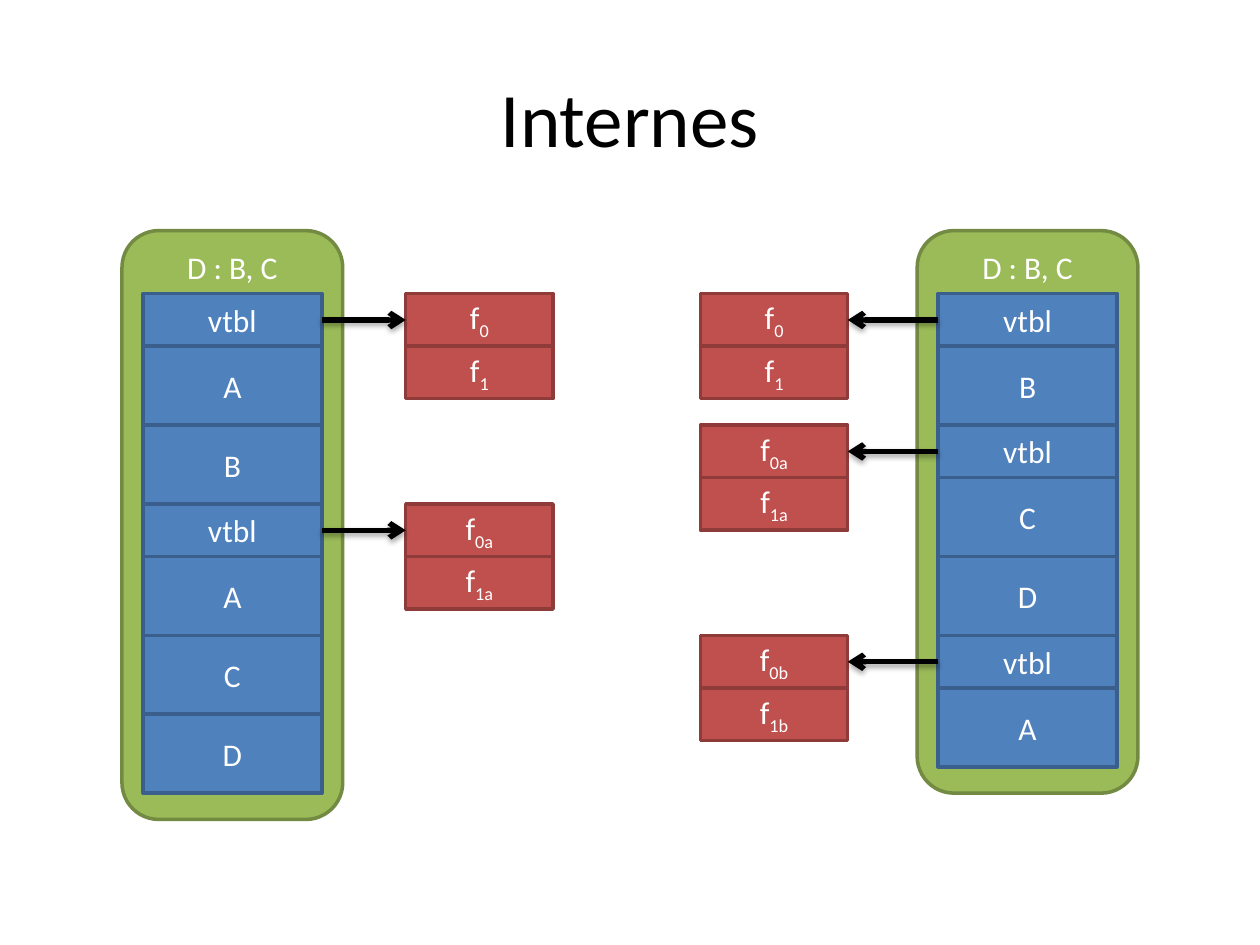
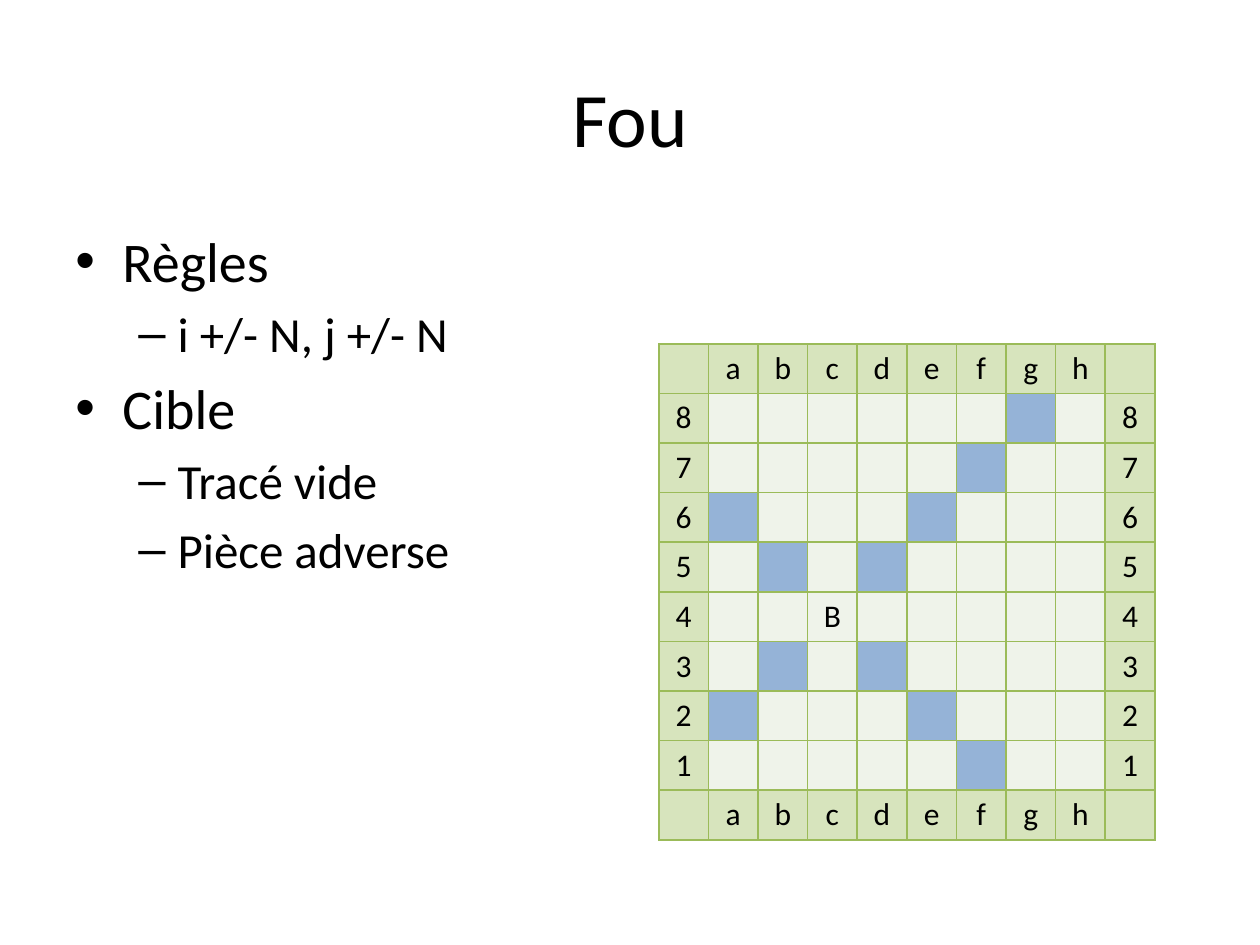
from dataclasses import dataclass

import lxml.etree
import pptx
import pptx.dml.color
import pptx.enum.shapes
import pptx.enum.text
import pptx.oxml.ns
import pptx.util

Cm, Pt = pptx.util.Cm, pptx.util.Pt
SHAPE = pptx.enum.shapes.MSO_SHAPE
ANCHOR = pptx.enum.text.MSO_ANCHOR
ALIGN = pptx.enum.text.PP_ALIGN
qn = pptx.oxml.ns.qn


@dataclass(frozen=True)
class Theme:
    font: str = "Calibri"
    text: str = "000000"
    light: str = "FFFFFF"
    object_box: tuple = ("9BBB59", "738A42")
    member: tuple = ("4F81BD", "3A5F8C")
    function: tuple = ("C0504D", "8E3B39")
    border: str = "9BBB59"
    label: str = "D7E4BD"
    square: str = "EFF3EA"
    move: str = "95B3D7"
    title_size: int = 44
    body_sizes: tuple = (32, 28)
    small_size: int = 18


THEME = Theme()
UNIT = 0.53
TITLE_BOX = (1.27, 0.76, 22.86, 3.18)
BODY_BOX = (1.27, 4.44, 22.86, 12.57)


def rgb(color):
    return pptx.dml.color.RGBColor.from_string(color)


def add_xml(parent, tag, **attrs):
    return lxml.etree.SubElement(parent, qn(tag), attrs)


def style(p, size, color, align=None):
    p.alignment = align
    p.font.name = THEME.font
    p.font.size = Pt(size)
    p.font.color.rgb = rgb(color)


def add_title(s, text):
    tf = s.shapes.add_textbox(*map(Cm, TITLE_BOX)).text_frame
    tf.word_wrap = True
    tf.vertical_anchor = ANCHOR.MIDDLE
    p = tf.paragraphs[0]
    p.text = text
    style(p, THEME.title_size, THEME.text, ALIGN.CENTER)


def add_box(s, box, colors, text, subscript="", kind=SHAPE.RECTANGLE, anchor=ANCHOR.MIDDLE):
    sp = s.shapes.add_shape(kind, *map(Cm, box))
    sp.shadow.inherit = False
    fill, line = colors
    sp.fill.solid()
    sp.fill.fore_color.rgb = rgb(fill)
    sp.line.color.rgb = rgb(line)
    sp.line.width = Pt(2)
    sp.text_frame.vertical_anchor = anchor
    p = sp.text_frame.paragraphs[0]
    style(p, THEME.small_size, THEME.light, ALIGN.CENTER)
    p.add_run().text = text
    if subscript:
        r = p.add_run()
        r.text = subscript
        r._r.get_or_add_rPr().set("baseline", "-25000")
    return sp


def add_arrow(s, start, start_side, end, end_side):
    c = s.shapes.add_connector(pptx.enum.shapes.MSO_CONNECTOR.STRAIGHT, 0, 0, 0, 0)
    c.begin_connect(start, start_side)
    c.end_connect(end, end_side)
    c.line.color.rgb = rgb(THEME.text)
    c.line.width = Pt(3)
    spPr = c._element.spPr
    add_xml(spPr.find(qn("a:ln")), "a:tailEnd", type="arrow")
    shadow = add_xml(add_xml(spPr, "a:effectLst"), "a:outerShdw",
                     blurRad="40000", dist="23000", dir="5400000", rotWithShape="0")
    color = add_xml(shadow, "a:srgbClr", val=THEME.text)
    add_xml(color, "a:alpha", val="35000")


def add_vtable(s, left, top, suffix):
    height = 2 * UNIT
    cells = [add_box(s, (left, top + i * height, 2.97, height), THEME.function, "f", f"{i}{suffix}")
             for i in range(2)]
    return cells[0]


def add_object_layout(s, left, top, members, vtable_dx, sides):
    width, cell_width, header = 4.45, 3.61, 1.27
    heights = [UNIT * (2 if m == "vtbl" else 3) for m in members]
    add_box(s, (left, top, width, header + sum(heights) + UNIT), THEME.object_box,
            "D : B, C", kind=SHAPE.ROUNDED_RECTANGLE, anchor=ANCHOR.TOP)
    suffixes = iter(["", "a", "b"])
    y = top + header
    for member, height in zip(members, heights):
        cell = add_box(s, (left + (width - cell_width) / 2, y, cell_width, height),
                       THEME.member, member)
        if member == "vtbl":
            target = add_vtable(s, left + vtable_dx, y, next(suffixes))
            add_arrow(s, cell, sides[0], target, sides[1])
        y += height


def add_bullets(s, box, items):
    tf = s.shapes.add_textbox(*map(Cm, box)).text_frame
    tf.word_wrap = True
    for i, (level, text) in enumerate(items):
        p = tf.add_paragraph() if i else tf.paragraphs[0]
        p.text = text
        p.level = level
        size = THEME.body_sizes[level]
        p.space_before = Pt(0.2 * size if i else 0)
        margin, hanging = ((0.95, 0.95), (2.06, 0.79))[level]
        pPr = p._p.get_or_add_pPr()
        pPr.set("marL", str(Cm(margin)))
        pPr.set("indent", str(-Cm(hanging)))
        add_xml(pPr, "a:buFont", typeface="Arial")
        add_xml(pPr, "a:buChar", char="•–"[level])
        style(p, size, THEME.text)


def style_cell(cell, text, fill):
    tcPr = cell._tc.get_or_add_tcPr()
    for side in "LRTB":
        ln = add_xml(tcPr, f"a:ln{side}", w=str(Pt(1)))
        add_xml(add_xml(ln, "a:solidFill"), "a:srgbClr", val=THEME.border)
    cell.fill.solid()
    cell.fill.fore_color.rgb = rgb(fill)
    cell.margin_left = cell.margin_right = cell.margin_top = cell.margin_bottom = 0
    cell.vertical_anchor = ANCHOR.MIDDLE
    p = cell.text_frame.paragraphs[0]
    p.text = text
    style(p, THEME.small_size, THEME.text, ALIGN.CENTER)


def add_chessboard(s, left, top, size, bishop):
    files = ["", *"abcdefgh", ""]
    ranks = ["", *"87654321", ""]
    n = len(files)
    tbl = s.shapes.add_table(n, n, *map(Cm, (left, top, size, size))).table
    tbl.first_row = tbl.horz_banding = False
    for line in (*tbl.columns, ):
        line.width = Cm(size / n)
    for line in tbl.rows:
        line.height = Cm(size / n)
    bishop_col, bishop_row = files.index(bishop[0]), ranks.index(bishop[1])
    for row, rank in enumerate(ranks):
        for col, file in enumerate(files):
            dx, dy = abs(col - bishop_col), abs(row - bishop_row)
            if not (file and rank):
                text, fill = file or rank, THEME.label
            elif dx == dy == 0:
                text, fill = "B", THEME.square
            else:
                text, fill = "", THEME.move if dx == dy else THEME.square
            style_cell(tbl.cell(row, col), text, fill)


def build_internals(s):
    add_title(s, "Internes")
    add_object_layout(s, 2.46, 4.65, ["vtbl", "A", "B", "vtbl", "A", "C", "D"], 5.72, (3, 1))
    add_object_layout(s, 18.49, 4.65, ["vtbl", "B", "vtbl", "C", "D", "vtbl", "A"], -4.37, (1, 3))


def build_bishop(s):
    add_chessboard(s, 13.28, 6.93, 10, "c4")
    add_title(s, "Fou")
    add_bullets(s, BODY_BOX, [
        (0, "Règles"),
        (1, "i +/- N, j +/- N"),
        (0, "Cible"),
        (1, "Tracé vide"),
        (1, "Pièce adverse"),
    ])


def main():
    prs = pptx.Presentation()
    prs.slide_width, prs.slide_height = Cm(25.4), Cm(19.05)
    for build in (build_internals, build_bishop):
        build(prs.slides.add_slide(prs.slide_layouts[6]))
    prs.save("out.pptx")


if __name__ == "__main__":
    main()
